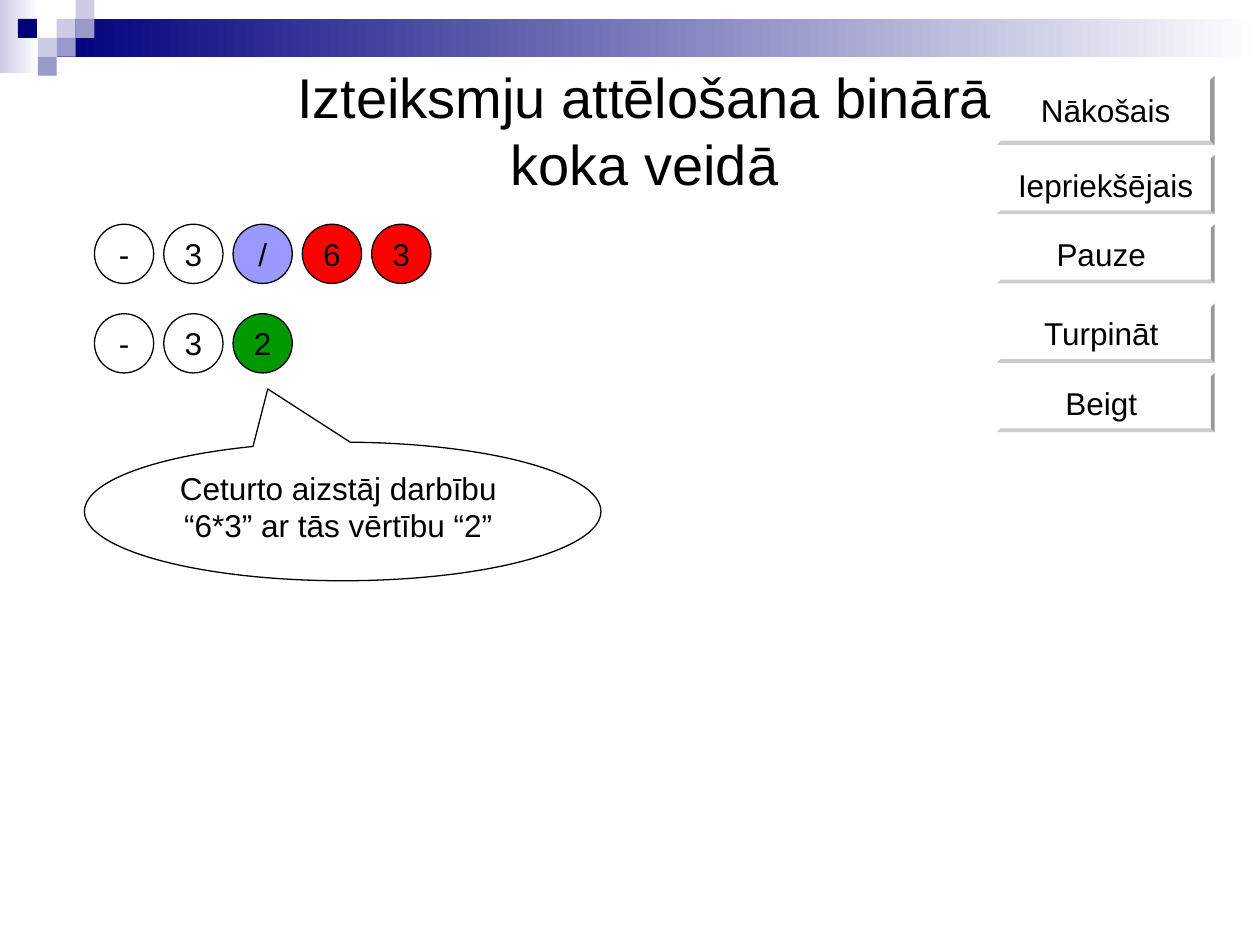
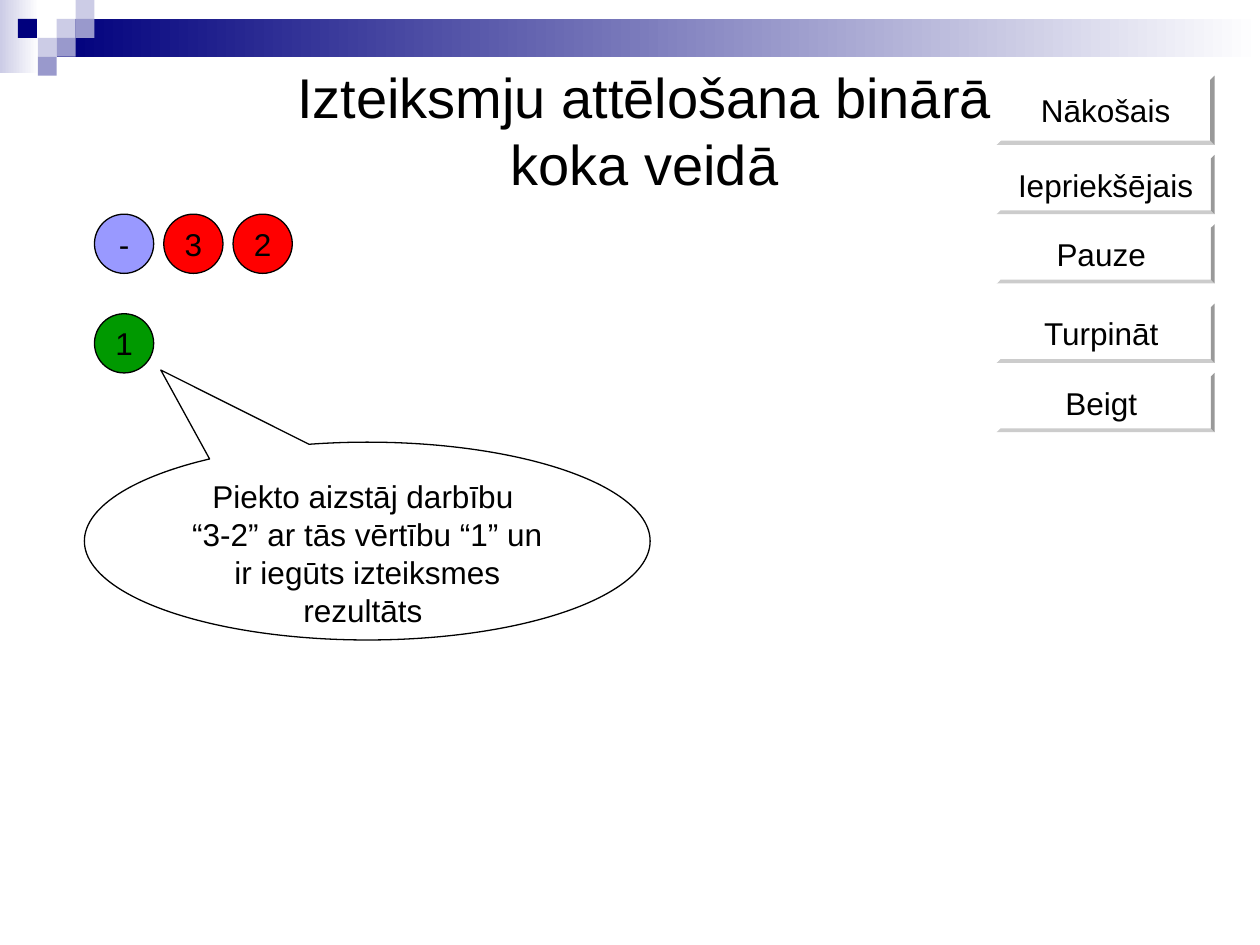
from dataclasses import dataclass
from pptx import Presentation, util as u
from pptx.dml.color import RGBColor
from pptx.enum import shapes, text

PAGE_WIDTH, PAGE_HEIGHT = 10, 7.5


@dataclass(frozen=True)
class Theme:
    font: str = "Arial"
    title_size: int = 32
    body_size: int = 18
    line_width: float = 0.75
    ink: str = "000000"
    paper: str = "FFFFFF"
    navy: str = "00007D"
    mid: str = "9999CC"
    pale: str = "CCCCE6"
    operator: str = "9999FF"
    operand: str = "FF0000"
    result: str = "009900"


@dataclass(frozen=True)
class Box:
    left: float
    top: float
    width: float
    height: float

    def inner(self, x, y, width, height):
        return Box(self.left + x, self.top + y, width, height)

    def lengths(self):
        return [u.Inches(value) for value in (self.left, self.top, self.width, self.height)]


THEME = Theme()
PAGE = Box(0, 0, PAGE_WIDTH, PAGE_HEIGHT)
KIND = shapes.MSO_SHAPE
MIDDLE = text.MSO_ANCHOR.MIDDLE


def write(holder, *lines, size=THEME.body_size, anchor=MIDDLE, wrap=False):
    frame = holder.text_frame
    frame.word_wrap = wrap
    frame.vertical_anchor = anchor
    frame.margin_left = frame.margin_right = u.Inches(0.1)
    frame.margin_top = frame.margin_bottom = u.Inches(0.05)
    for index, line in enumerate(lines):
        para = frame.add_paragraph() if index else frame.paragraphs[0]
        para.alignment = text.PP_ALIGN.CENTER
        span = para.add_run()
        span.text = line
        span.font.name = THEME.font
        span.font.size = u.Pt(size)
        span.font.color.rgb = RGBColor.from_string(THEME.ink)


def draw(page, kind, box, fill, fade_to=None, outlined=False):
    shape = page.shapes.add_shape(kind, *box.lengths())
    shape.shadow.inherit = False
    if fade_to:
        shape.fill.gradient()
        shape.fill.gradient_angle = 0
        for stop, colour, position in zip(shape.fill.gradient_stops, (fill, fade_to), (0, 1)):
            stop.color.rgb = RGBColor.from_string(colour)
            stop.position = position
    else:
        shape.fill.solid()
        shape.fill.fore_color.rgb = RGBColor.from_string(fill)
    if outlined:
        shape.line.color.rgb = RGBColor.from_string(THEME.ink)
        shape.line.width = u.Pt(THEME.line_width)
    else:
        shape.line.fill.background()
    return shape


def add_header(page, box):
    tile = 0.15
    draw(page, KIND.RECTANGLE, box.inner(0, 0, 0.31, 0.58), THEME.pale, THEME.paper)
    band = box.inner(3 * tile, tile, box.width - 3 * tile, 2 * tile)
    draw(page, KIND.RECTANGLE, band, THEME.navy, THEME.paper)
    tiles = [
        (3, 1, THEME.pale), (4, 0, THEME.pale), (4, 1, THEME.mid), (2, 2, THEME.pale),
        (0.95, 1, THEME.navy), (3, 2, THEME.mid), (2, 3, THEME.mid),
    ]
    for column, row, colour in tiles:
        draw(page, KIND.RECTANGLE, box.inner(column * tile, row * tile, tile, tile), colour)


def add_buttons(page, box):
    gap, height, first_height, group_gap = 0.08, 0.47, 0.55, 0.16
    buttons = [
        ("Nākošais", first_height, gap),
        ("Iepriekšējais", height, gap),
        ("Pauze ", height, group_gap),
        ("Turpināt ", height, gap),
        ("Beigt ", height, gap),
    ]
    top = 0
    for label, tall, space_below in buttons:
        button = draw(page, KIND.BEVEL, box.inner(0, top, box.width, tall), THEME.paper)
        button.adjustments[0] = 0.0625
        write(button, label)
        top += tall + space_below


def add_title(page, box):
    title = page.shapes.add_textbox(*box.lengths())
    write(title, "Izteiksmju attēlošana binārā koka veidā",
          size=THEME.title_size, anchor=text.MSO_ANCHOR.BOTTOM, wrap=True)


def add_callout(page, box, lines, pointer):
    callout = draw(page, KIND.OVAL_CALLOUT, box, THEME.paper, outlined=True)
    for index, share in enumerate(pointer):
        callout.adjustments[index] = share
    write(callout, *lines, anchor=text.MSO_ANCHOR.TOP, wrap=True)


def add_tokens(page, box, tokens):
    pitch = 0.55
    for column, (symbol, colour) in enumerate(tokens):
        place = box.inner(column * pitch, 0, box.height, box.height)
        write(draw(page, KIND.OVAL, place, colour, outlined=True), symbol)


def add_step(deck, before_top, before, after, lines, callout_size, pointer):
    page = deck.slides.add_slide(deck.slide_layouts[6])
    add_header(page, PAGE)
    add_buttons(page, PAGE.inner(7.91, 0.6, 1.73, 2.83))
    add_title(page, PAGE.inner(1.77, 0.44, 6.69, 1.17))
    add_callout(page, PAGE.inner(0.67, 3.51, *callout_size), lines, pointer)
    for top, tokens in ((before_top, before), (2.49, after)):
        add_tokens(page, PAGE.inner(0.75, top, 2.67, 0.47), tokens)


def main():
    deck = Presentation()
    deck.slide_width, deck.slide_height = u.Inches(PAGE_WIDTH), u.Inches(PAGE_HEIGHT)
    plain = [("-", THEME.paper), ("3", THEME.paper)]
    add_step(
        deck, 1.78,
        plain + [("/", THEME.operator), ("6", THEME.operand), ("3", THEME.operand)],
        plain + [("2", THEME.result)],
        ["Ceturto aizstāj darbību ", "“6*3” ar tās vērtību “2” "],
        (4.1, 1.1), (-0.145, -0.884),
    )
    add_step(
        deck, 1.7,
        [("-", THEME.operator), ("3", THEME.operand), ("2", THEME.operand)],
        [("1", THEME.result)],
        ["Piekto aizstāj darbību ", "“3-2” ar tās vērtību “1” un ir iegūts izteiksmes rezultāts "],
        (4.49, 1.57), (-0.365, -0.865),
    )
    deck.save("out.pptx")


if __name__ == "__main__":
    main()
